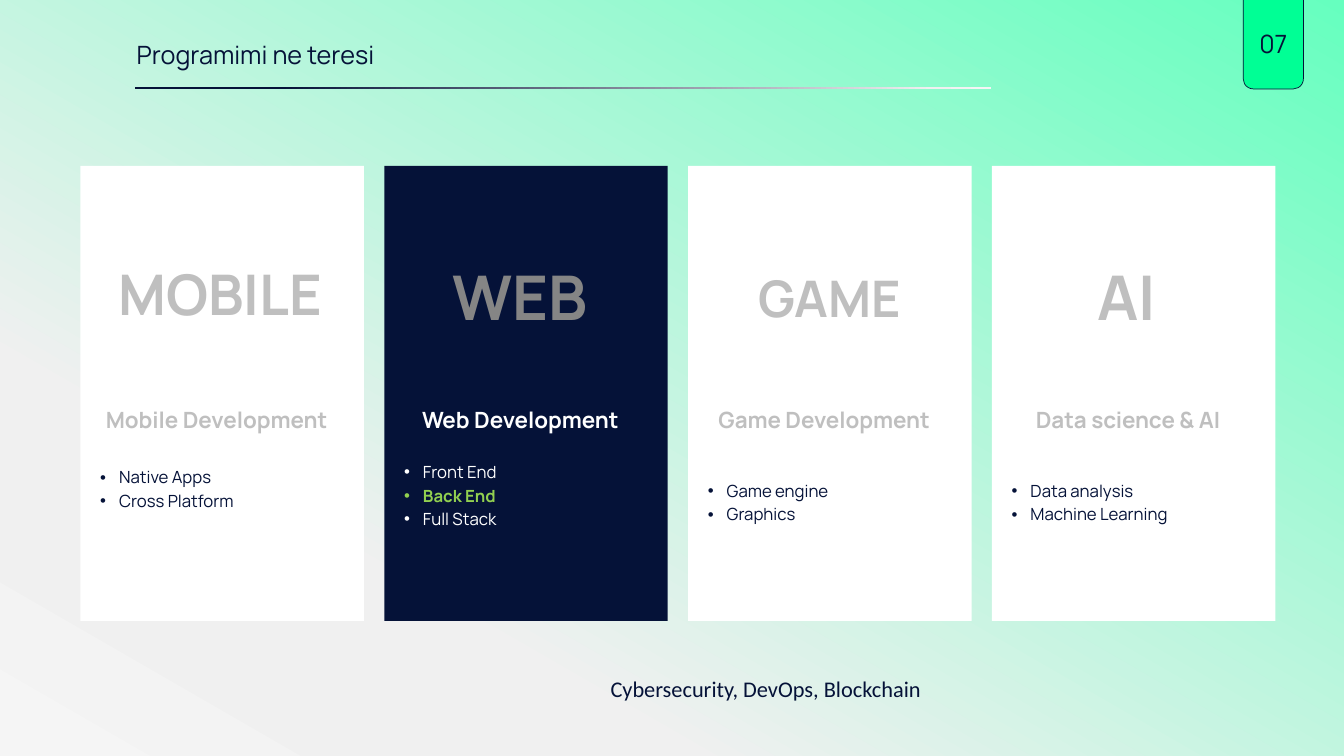
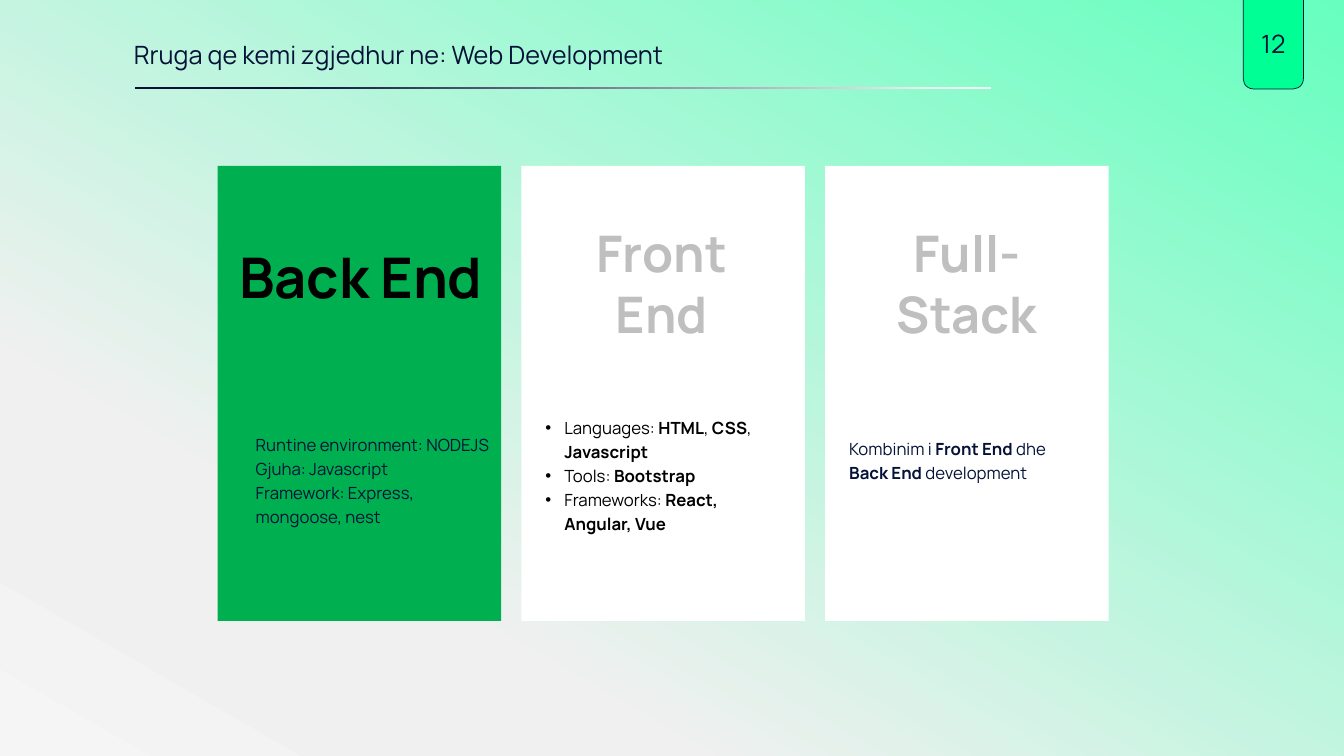
from dataclasses import dataclass

from lxml.etree import SubElement
from pptx import Presentation
from pptx.dml.color import RGBColor
from pptx.enum.shapes import MSO_SHAPE as Preset
from pptx.enum.text import MSO_ANCHOR as Anchor, PP_ALIGN as Align
from pptx.oxml.ns import qn
from pptx.util import Pt


@dataclass(frozen=True)
class Theme:
    """Colours, fonts and type sizes shared by all slides."""

    navy: str = "051238"
    white: str = "FFFFFF"
    black: str = "000000"
    silver: str = "BFBFBF"
    gray: str = "858585"
    green: str = "00B050"
    lime: str = "92D050"
    mint: str = "00FF95"
    backdrop: tuple = ((0, "66FFBF"), (74, "F0F0F0"), (83, "F0F0F0"), (100, "F5F5F5"))
    rule: tuple = ((17, "051238"), (93, "F0F0F0"), (100, "F5F5F5"))
    font: str = "Manrope"
    footer_font: str = "Calibri"
    title_size: float = 18
    heading_size: float = 16
    body_size: float = 12
    line_pitch: float = 17
    bullet_indent: float = 13.5


THEME = Theme()
CARD_TOP, CARD_WIDTH, CARD_HEIGHT, CARD_PITCH = 118.5, 202.5, 325, 217
WORD_HEIGHT = 110
TAB_LEFT, TAB_WIDTH = 888, 43


@dataclass(frozen=True)
class Card:
    """One topic card; asterisks in the body lines mark emphasis."""

    word: str
    word_size: float
    word_width: float
    word_middle: float
    body: tuple
    body_top: float
    heading: str = ""
    word_shift: float = 0
    body_left: float = 7
    bulleted: bool = True
    fill: str = THEME.white
    word_color: str = THEME.silver
    heading_color: str = THEME.silver
    body_color: str = THEME.navy
    accent: str = ""


AREAS = (
    Card("MOBILE", 40, 165, 209.5, ("Native Apps", "Cross Platform"), 327.6,
         heading="Mobile Development", word_shift=-1.5),
    Card("WEB", 44, 115, 211.5, ("Front End", "*Back End*", "Full Stack"), 323.5,
         heading="Web Development", word_shift=-4, fill=THEME.navy,
         word_color=THEME.gray, heading_color=THEME.white,
         body_color=THEME.white, accent=THEME.lime),
    Card("GAME", 36, 135, 212.5, ("Game engine", "Graphics"), 337,
         heading="Game Development"),
    Card("AI", 44, 115, 211.5, ("Data analysis", "Machine Learning"), 337,
         heading="Data science & AI", word_shift=-5),
)

PATHS = (
    Card("Back End", 40, 189, 197.5,
         ("Runtine environment: NODEJS",
          "Gjuha: Javascript\vFramework: Express, mongoose, nest"),
         304.5, word_shift=1, body_left=20, bulleted=False,
         fill=THEME.green, word_color=THEME.black),
    Card("Front End", 36, 163, 202,
         ("Languages: *HTML*, *CSS*, *Javascript*", "Tools: *Bootstrap*",
          "Frameworks: *React, Angular, Vue*"),
         292.5, word_shift=-1, body_left=10, body_color=THEME.black),
    Card("Full-Stack", 36, 135, 202,
         ("Kombinim i *Front End *dhe *Back End *development",),
         307.5, body_left=10, bulleted=False),
)


def set_gradient(fill, element, stops, angle):
    """Give a fill several colour stops and a clockwise angle in degrees."""
    fill.gradient()
    gradient = element.find(".//" + qn("a:gradFill"))
    stop_list = gradient.find(qn("a:gsLst"))
    for old_stop in list(stop_list):
        stop_list.remove(old_stop)
    for position, color in stops:
        stop = SubElement(stop_list, qn("a:gs"), pos=str(position * 1000))
        SubElement(stop, qn("a:srgbClr"), val=color)
    direction = gradient.find(qn("a:lin"))
    direction.set("ang", str(angle * 60000))
    direction.set("scaled", "0")


def add_block(slide, preset, left, top, width, height, color):
    """Add a filled shape without outline or shadow."""
    shape = slide.shapes.add_shape(preset, Pt(left), Pt(top), Pt(width), Pt(height))
    shape.shadow.inherit = False
    shape.fill.solid()
    shape.fill.fore_color.rgb = RGBColor.from_string(color)
    shape.line.fill.background()
    return shape


def add_frame(slide, left, top, width, height):
    """Add a wrapping text box and return its text frame."""
    box = slide.shapes.add_textbox(Pt(left), Pt(top), Pt(width), Pt(height))
    box.text_frame.word_wrap = True
    return box.text_frame


def format_run(run, size, color, bold=False, font=THEME.font):
    """Set the typeface, size, weight and colour of a run."""
    run.font.name = font
    run.font.size = Pt(size)
    run.font.bold = bold
    run.font.color.rgb = RGBColor.from_string(color)


def add_label(slide, text, left, top, width, height, size, color,
              bold=False, align=Align.LEFT, anchor=Anchor.TOP, font=THEME.font):
    """Add a text box with one uniformly styled paragraph."""
    frame = add_frame(slide, left, top, width, height)
    frame.text = text
    frame.vertical_anchor = anchor
    paragraph = frame.paragraphs[0]
    paragraph.alignment = align
    format_run(paragraph.runs[0], size, color, bold, font)


def add_bullet(paragraph):
    """Turn a paragraph into a bullet with a hanging indent."""
    properties = paragraph._p.get_or_add_pPr()
    indent = Pt(THEME.bullet_indent)
    properties.set("marL", str(indent))
    properties.set("indent", str(-indent))
    SubElement(properties, qn("a:buFont"), typeface="Arial")
    SubElement(properties, qn("a:buChar"), char="•")


def add_body(slide, card, left):
    """Add the body lines of a card, with emphasised runs in bold."""
    frame = add_frame(slide, left + card.body_left, card.body_top, 182, 83)
    for index, line in enumerate(card.body):
        paragraph = frame.add_paragraph() if index else frame.paragraphs[0]
        paragraph.line_spacing = Pt(THEME.line_pitch)
        if card.bulleted:
            add_bullet(paragraph)
        if "*" not in line:
            paragraph.text = line
            for run in paragraph.runs:
                format_run(run, THEME.body_size, card.body_color)
            continue
        for part_index, part in enumerate(line.split("*")):
            if part:
                bold = part_index % 2 == 1
                color = card.accent if bold and card.accent else card.body_color
                run = paragraph.add_run()
                run.text = part
                format_run(run, THEME.body_size, color, bold)


def add_card(slide, card, left):
    """Add a card with its large word, optional heading and body."""
    add_block(slide, Preset.RECTANGLE, left, CARD_TOP, CARD_WIDTH, CARD_HEIGHT, card.fill)
    word_left = left + (CARD_WIDTH - card.word_width) / 2 + card.word_shift
    add_label(slide, card.word, word_left, card.word_middle - WORD_HEIGHT / 2,
              card.word_width, WORD_HEIGHT, card.word_size, card.word_color,
              bold=True, align=Align.CENTER, anchor=Anchor.MIDDLE)
    if card.heading:
        add_label(slide, card.heading, left - 4, 286.5, CARD_WIDTH, 27,
                  THEME.heading_size, card.heading_color, bold=True, align=Align.CENTER)
    add_body(slide, card, left)


def add_slide(presentation, title, title_left, number, cards, first_left):
    """Add a slide with title, rule, number tab and a row of cards."""
    slide = presentation.slides.add_slide(presentation.slide_layouts[6])
    add_label(slide, title, title_left, 24.5, 549, 29, THEME.title_size, THEME.navy)
    rule = add_block(slide, Preset.RECTANGLE, 96.5, 62, 611.5, 1.5, THEME.navy)
    set_gradient(rule.fill, rule._element, THEME.rule, 0)
    tab = add_block(slide, Preset.ROUND_2_SAME_RECTANGLE,
                    TAB_LEFT, -2, TAB_WIDTH, 65.5, THEME.mint)
    tab.rotation = 180
    tab.line.color.rgb = RGBColor.from_string(THEME.navy)
    tab.line.width = Pt(0.5)
    add_label(slide, number, TAB_LEFT, 16.5, TAB_WIDTH, 29,
              THEME.title_size, THEME.navy, align=Align.CENTER)
    for index, card in enumerate(cards):
        add_card(slide, card, first_left + index * CARD_PITCH)
    return slide


def main():
    """Build the two slides and save the presentation."""
    presentation = Presentation()
    presentation.slide_width, presentation.slide_height = Pt(960), Pt(540)
    master = presentation.slide_master
    set_gradient(master.background.fill, master._element, THEME.backdrop, 120)
    areas = add_slide(presentation, "Programimi ne teresi", 90.5, "07", AREAS, 57.5)
    add_label(areas, "Cybersecurity, DevOps, Blockchain", 429, 479, 245, 27,
              THEME.heading_size, THEME.navy, font=THEME.footer_font)
    add_slide(presentation, "Rruga qe kemi zgjedhur ne: Web Development",
              88.5, "12", PATHS, 155.5)
    presentation.save("out.pptx")


if __name__ == "__main__":
    main()
